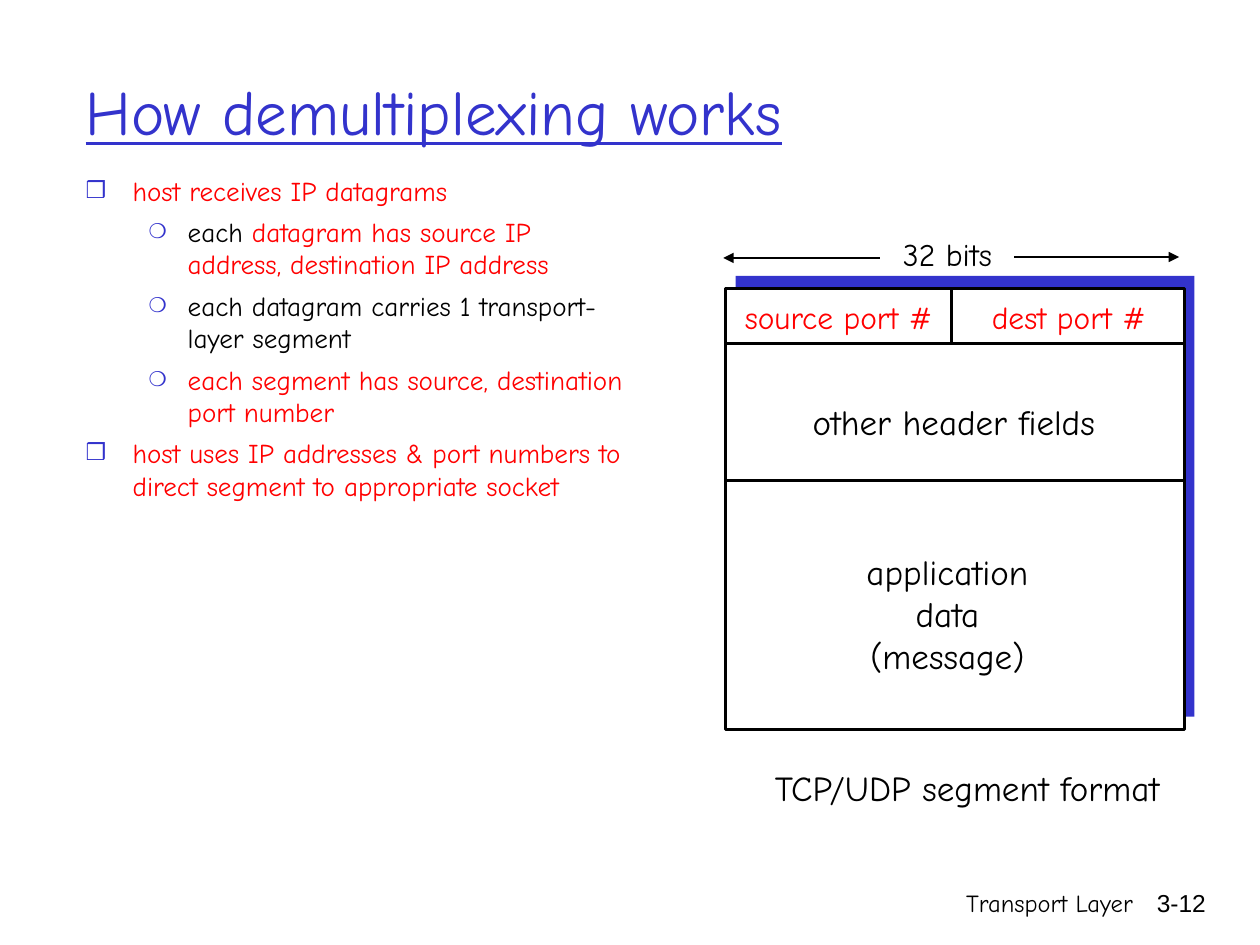
from lxml.etree import SubElement
from pptx import Presentation
from pptx.dml.color import RGBColor
from pptx.enum.shapes import MSO_CONNECTOR, MSO_SHAPE
from pptx.enum.text import MSO_ANCHOR, MSO_AUTO_SIZE, PP_ALIGN
from pptx.oxml.ns import qn
from pptx.util import Cm, Pt

COLORS = {name: RGBColor.from_string(value) for name, value in {
    "black": "000000", "white": "FFFFFF", "blue": "3333CC", "red": "FF0000",
}.items()}
FONT = "Comic Neue"


def add_label(left, top, width, height, text, size, color="black",
              font=FONT, align=PP_ALIGN.CENTER, wrap=False):
    label = slide.shapes.add_textbox(Cm(left), Cm(top), Cm(width), Cm(height))
    label.text_frame.word_wrap = wrap
    if not wrap:
        label.text_frame.auto_size = MSO_AUTO_SIZE.SHAPE_TO_FIT_TEXT
    label.text_frame.text = text
    for paragraph in label.text_frame.paragraphs:
        paragraph.alignment = align
        paragraph.font.size = Pt(size)
        paragraph.font.name = font
        paragraph.font.color.rgb = COLORS[color]


def add_line(x1, y1, x2, y2, arrow=False):
    line = slide.shapes.add_connector(
        MSO_CONNECTOR.STRAIGHT, Cm(x1), Cm(y1), Cm(x2), Cm(y2))
    line.line.color.rgb = COLORS["black"]
    line.line.width = Pt(1.5)
    if arrow:
        SubElement(line.line._get_or_add_ln(), qn("a:tailEnd"), type="triangle")
    SubElement(line._element.spPr, qn("a:effectLst"))


prs = Presentation()
prs.slide_width, prs.slide_height = Cm(25.4), Cm(19.05)
slide = prs.slides.add_slide(prs.slide_layouts[1])

# Title
title = slide.shapes.title
title.left, title.top, title.width, title.height = Cm(1.47), Cm(0.64), Cm(21.59), Cm(3.18)
title.text_frame.text = "How demultiplexing works"
title.text_frame.vertical_anchor = MSO_ANCHOR.MIDDLE
heading = title.text_frame.paragraphs[0]
heading.alignment = PP_ALIGN.LEFT
heading.font.size = Pt(36)
heading.font.name = FONT
heading.font.underline = True
heading.font.color.rgb = COLORS["blue"]

# Bullet list: level, then (text, color) runs
points = [
    (0, [("host receives IP datagrams", "red")]),
    (1, [("each ", "black"),
         ("datagram has source IP address, destination IP address", "red")]),
    (1, [("each datagram carries 1 transport-layer segment", "black")]),
    (1, [("each segment has source, destination port number", "red")]),
    (0, [("host uses IP addresses & port numbers to direct segment "
          "to appropriate socket", "red")]),
]
# Per level: bullet, size in percent, left margin and hanging indent in cm
bullet_styles = [("❒", 85, 0.95, 0.95), ("❍", 75, 2.06, 0.79)]

body = slide.placeholders[1]
body.left, body.top, body.width, body.height = Cm(1.47), Cm(3.38), Cm(11.43), Cm(7.75)
for index, (level, runs) in enumerate(points):
    point = body.text_frame.paragraphs[0] if index == 0 else body.text_frame.add_paragraph()
    bullet, percent, margin, hanging = bullet_styles[level]
    point.level = level
    point.space_before = Pt(5 if index else 0)
    properties = point._p.get_or_add_pPr()
    properties.set("marL", str(Cm(margin)))
    properties.set("indent", str(-Cm(hanging)))
    bullet_color = SubElement(properties, qn("a:buClr"))
    SubElement(bullet_color, qn("a:srgbClr"), val=str(COLORS["blue"]))
    SubElement(properties, qn("a:buSzPct"), val=str(percent * 1000))
    SubElement(properties, qn("a:buChar"), char=bullet)
    point.font.size = Pt(15.5)
    point.font.name = FONT
    for text, color in runs:
        run = point.add_run()
        run.text = text
        run.font.color.rgb = COLORS[color]

# Segment frame with its offset backing
left, top, width, height = 14.63, 5.82, 9.25, 8.89
right = left + width
for x, y, fill in [(left + 0.2, top - 0.26, "blue"), (left, top, "white")]:
    frame = slide.shapes.add_shape(
        MSO_SHAPE.RECTANGLE, Cm(x), Cm(y), Cm(width), Cm(height))
    frame.shadow.inherit = False
    frame.fill.solid()
    frame.fill.fore_color.rgb = COLORS[fill]
    frame.line.fill.background()
frame.line.color.rgb = COLORS["black"]
frame.line.width = Pt(1.5)

# Field dividers
ports_bottom, header_bottom, ports_split = 6.93, 9.68, 19.18
add_line(left, ports_bottom, right, ports_bottom)
add_line(left, header_bottom, right, header_bottom)
add_line(ports_split, top, ports_split, ports_bottom)

# Field names
add_label(14.76, 5.89, 4.29, 1.02, "source port #", 18, "red")
add_label(19.74, 5.89, 3.61, 1.02, "dest port #", 18, "red")
add_label(16.13, 7.95, 6.2, 1.12, "other header fields", 20)
add_label(17.1, 10.97, 4, 2.79, "application\ndata\n(message)", 20)

# Width marker and caption
add_label(17.85, 4.62, 2.5, 1.02, "32 bits", 18)
add_line(20.45, 5.18, 23.77, 5.18, arrow=True)
add_line(17.73, 5.2, 14.58, 5.2, arrow=True)
add_label(15.32, 15.32, 8.36, 1.12, "TCP/UDP segment format", 20)

# Footer
add_label(15.04, 17.78, 8.05, 1.27, "Transport Layer", 14, align=PP_ALIGN.RIGHT, wrap=True)
add_label(22.68, 17.78, 1.88, 1.27, "3-12", 14, font="Arial", align=PP_ALIGN.RIGHT, wrap=True)

prs.save("out.pptx")
